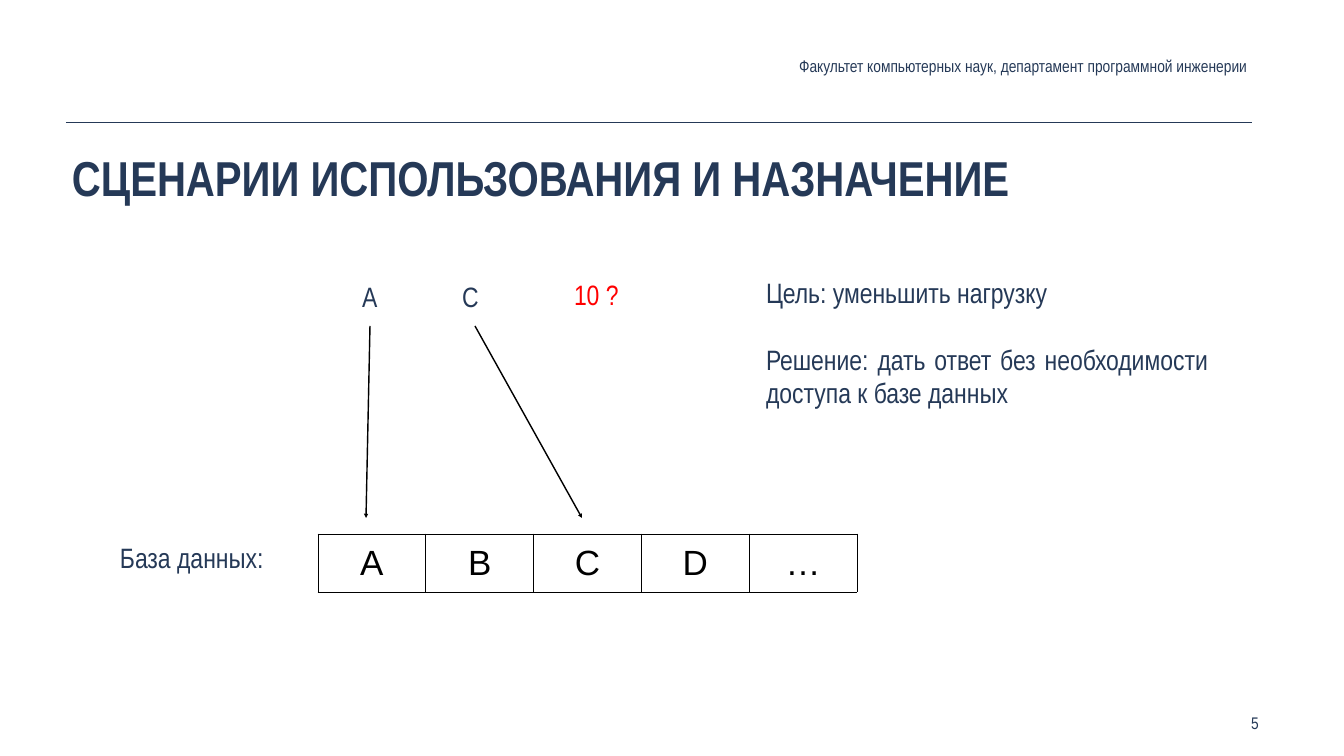
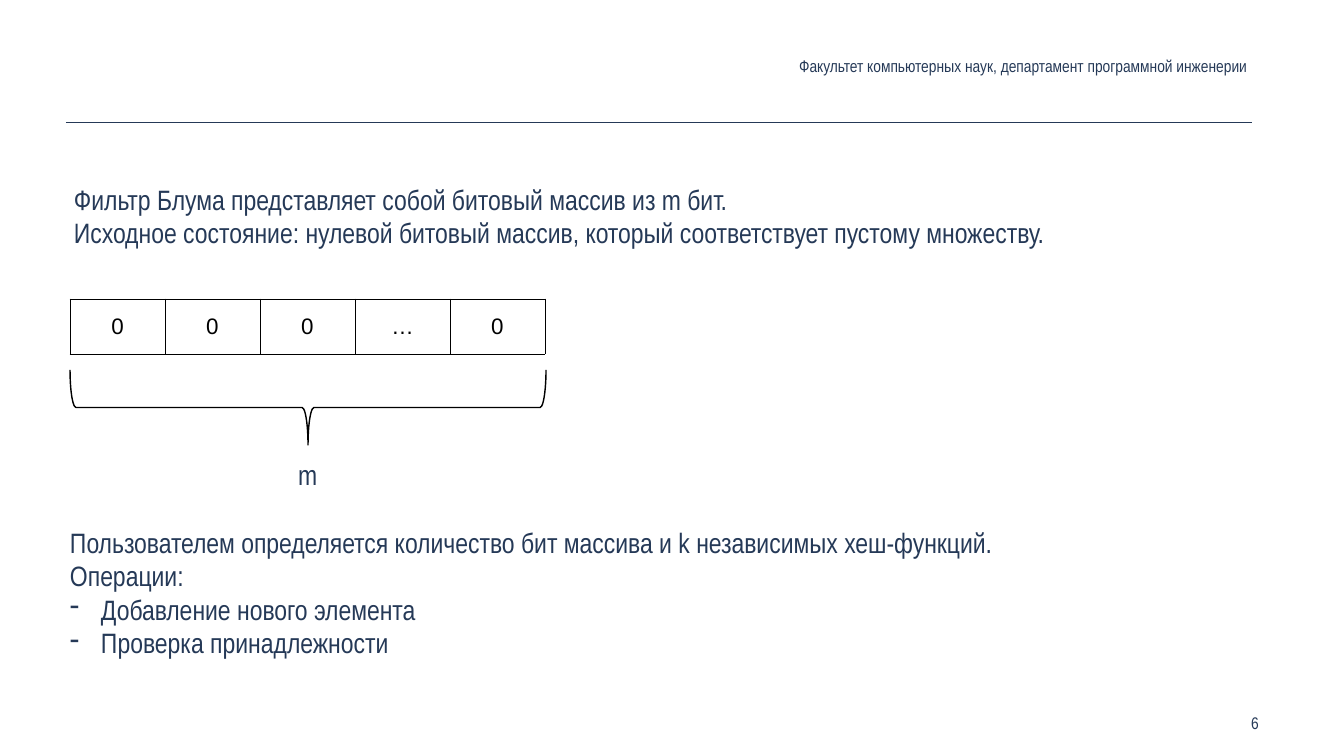
from dataclasses import dataclass
from typing import NamedTuple, Optional, Sequence

from lxml.etree import SubElement
from pptx import Presentation
from pptx.dml.color import RGBColor
from pptx.enum.shapes import MSO_CONNECTOR as Connector, MSO_SHAPE as Shape
from pptx.enum.text import MSO_ANCHOR as Anchor, MSO_AUTO_SIZE as AutoSize, PP_ALIGN as Align
from pptx.oxml import parse_xml
from pptx.oxml.ns import nsdecls, qn
from pptx.slide import Slide
from pptx.util import Emu, Pt

EMU_PER_PX = 914400 / 50.4


def px(value: float) -> Emu:
    """Turn pixels into EMU."""
    return Emu(round(value * EMU_PER_PX))


@dataclass(frozen=True)
class Theme:
    """Colours, fonts and sizes shared by the slides."""
    navy: RGBColor = RGBColor(0x25, 0x39, 0x57)
    black: RGBColor = RGBColor(0, 0, 0)
    red: RGBColor = RGBColor(0xFF, 0, 0)
    font: str = "Arial Narrow"
    table_font: str = "Arial"
    title: int = 70
    body: int = 40
    small: int = 24
    letters: int = 50
    bits: int = 32
    thin: int = 1
    thick: int = 2
    inset: int = 4
    blank_line: int = 48
    bullet_indent: int = 31


THEME = Theme()


class Box(NamedTuple):
    """Left, top, width and height in pixels."""
    left: int
    top: int
    width: int
    height: int

    def emu(self) -> list[Emu]:
        """Give the four lengths in EMU."""
        return [px(v) for v in self]


class Para(NamedTuple):
    """One paragraph of a text box."""
    text: str
    bullet: Optional[str] = None
    space_before: int = 0


@dataclass(frozen=True)
class Text:
    """A text box with one style throughout."""
    box: Box
    paras: Sequence[Para]
    size: int = THEME.body
    color: RGBColor = THEME.navy
    bold: bool = False
    align: Align = Align.JUSTIFY
    anchor: Anchor = Anchor.TOP
    wrap: bool = True
    grow: bool = False


@dataclass(frozen=True)
class Line:
    """A straight line between two points in pixels."""
    start: tuple[int, int]
    end: tuple[int, int]
    color: RGBColor = THEME.black
    width: int = THEME.thick
    arrow: bool = True


@dataclass(frozen=True)
class Row:
    """A one-row table of equal cells."""
    box: Box
    values: Sequence[str]
    size: int


def label(box: Box, text: str, color: RGBColor = THEME.navy) -> Text:
    """Describe a one-line label centred vertically in its box."""
    return Text(box, [Para(text)], color=color, anchor=Anchor.MIDDLE)


def add_bullet(p, char: str) -> None:
    """Give a paragraph a hanging bullet."""
    indent = px(THEME.bullet_indent)
    props = p._p.get_or_add_pPr()
    props.set("marL", str(indent))
    props.set("indent", str(-indent))
    SubElement(props, qn("a:buChar")).set("char", char)


def draw_text(slide: Slide, text: Text) -> None:
    """Draw a text box."""
    tf = slide.shapes.add_textbox(*text.box.emu()).text_frame
    tf.word_wrap = text.wrap
    tf.auto_size = AutoSize.SHAPE_TO_FIT_TEXT if text.grow else AutoSize.NONE
    tf.vertical_anchor = text.anchor
    tf.margin_left = tf.margin_right = px(THEME.inset)
    tf.margin_top = tf.margin_bottom = px(THEME.inset)
    tf.text = "\n".join(para.text for para in text.paras)
    for p, para in zip(tf.paragraphs, text.paras):
        p.alignment = text.align
        if para.space_before:
            p.space_before = Pt(para.space_before)
        if para.bullet:
            add_bullet(p, para.bullet)
        for r in p.runs:
            r.font.name = THEME.font
            r.font.size = Pt(text.size)
            r.font.bold = text.bold
            r.font.color.rgb = text.color


def draw_line(slide: Slide, line: Line) -> None:
    """Draw a line, with an arrowhead at its end if asked."""
    sp = slide.shapes.add_connector(
        Connector.STRAIGHT, *(px(v) for v in (*line.start, *line.end)))
    sp.line.color.rgb = line.color
    sp.line.width = Pt(line.width)
    if line.arrow:
        SubElement(sp.line._get_or_add_ln(), qn("a:tailEnd")).set("type", "triangle")
    SubElement(sp._element.spPr, qn("a:effectLst"))


def add_borders(cell) -> None:
    """Outline a cell on all four sides."""
    props = cell._tc.get_or_add_tcPr()
    for i, side in enumerate("LRTB"):
        props.insert(i, parse_xml(
            f'<a:ln{side} {nsdecls("a")} w="{Pt(THEME.thin)}"><a:solidFill>'
            f'<a:srgbClr val="{THEME.black}"/></a:solidFill></a:ln{side}>'))


def draw_row(slide: Slide, row: Row) -> None:
    """Draw a one-row table."""
    count = len(row.values)
    table = slide.shapes.add_table(1, count, *row.box.emu()).table
    table.first_row = table.horz_banding = False
    for column, cell, value in zip(table.columns, table.rows[0].cells, row.values):
        column.width = px(row.box.width / count)
        cell.fill.background()
        add_borders(cell)
        cell.vertical_anchor = Anchor.MIDDLE
        cell.text_frame.text = value
        p = cell.text_frame.paragraphs[0]
        p.alignment = Align.CENTER
        font = p.runs[0].font
        font.name = THEME.table_font
        font.size = Pt(row.size)
        font.color.rgb = THEME.black


def draw_brace(slide: Slide, box: Box) -> None:
    """Draw a brace that spans the box and points down."""
    left = box.left + (box.width - box.height) / 2
    top = box.top + (box.height - box.width) / 2
    sp = slide.shapes.add_shape(
        Shape.RIGHT_BRACE, px(left), px(top), px(box.height), px(box.width))
    sp.rotation = 90
    sp.adjustments[0] = 0.08
    sp.adjustments[1] = 0.5
    sp.shadow.inherit = False
    sp.fill.background()
    sp.line.color.rgb = THEME.black
    sp.line.width = Pt(THEME.thick)


def new_slide(prs: Presentation, number: int) -> Slide:
    """Add a slide with the shared rule, header and page number."""
    slide = prs.slides.add_slide(prs.slide_layouts[6])
    draw_line(slide, Line((66, 122), (1252, 122), THEME.navy, THEME.thin, arrow=False))
    header = "Факультет компьютерных наук, департамент программной инженерии"
    draw_text(slide, Text(Box(625, 52, 626, 28), [Para(header)], THEME.small,
                          align=Align.RIGHT, anchor=Anchor.MIDDLE, grow=True))
    draw_text(slide, Text(Box(1247, 709, 18, 28), [Para(str(number))], THEME.small,
                          wrap=False, grow=True))
    return slide


def build_usage(prs: Presentation) -> None:
    """Build the slide on usage scenarios."""
    slide = new_slide(prs, 5)
    draw_text(slide, Text(Box(68, 143, 1029, 128),
                          [Para("СЦЕНАРИИ ИСПОЛЬЗОВАНИЯ И НАЗНАЧЕНИЕ")],
                          THEME.title, bold=True))
    draw_row(slide, Row(Box(318, 534, 539, 58), ["A", "B", "C", "D", "…"], THEME.letters))
    for text in (
        label(Box(116, 521, 182, 72), "База данных:"),
        label(Box(358, 268, 34, 57), "A"),
        label(Box(458, 268, 34, 57), "C"),
        label(Box(570, 266, 67, 57), "10 ?", THEME.red),
        Text(Box(762, 271, 450, 178), [
            Para("Цель: уменьшить нагрузку"),
            Para("Решение: дать ответ без необходимости доступа к базе данных",
                 space_before=THEME.blank_line),
        ]),
    ):
        draw_text(slide, text)
    draw_line(slide, Line((370, 326), (366, 518)))
    draw_line(slide, Line((475, 326), (582, 518)))


def build_bit_array(prs: Presentation) -> None:
    """Build the slide on the bit array of the filter."""
    slide = new_slide(prs, 6)
    draw_row(slide, Row(Box(70, 299, 475, 55), ["0", "0", "0", "…", "0"], THEME.bits))
    draw_brace(slide, Box(70, 370, 476, 75))
    for text in (
        Text(Box(70, 178, 1185, 104), [
            Para("Фильтр Блума представляет собой битовый массив из m бит."),
            Para("Исходное состояние: нулевой битовый массив, который "
                 "соответствует пустому множеству."),
        ]),
        label(Box(294, 446, 28, 57), "m"),
        Text(Box(66, 521, 1185, 188), [
            Para("Пользователем определяется количество бит массива "
                 "и k независимых хеш-функций."),
            Para("Операции:"),
            Para("Добавление нового элемента", bullet="-"),
            Para("Проверка принадлежности", bullet="-"),
        ]),
    ):
        draw_text(slide, text)


def main() -> None:
    """Build and save the presentation."""
    prs = Presentation()
    prs.slide_width, prs.slide_height = px(1344), px(756)
    build_usage(prs)
    build_bit_array(prs)
    prs.save("out.pptx")


main()
